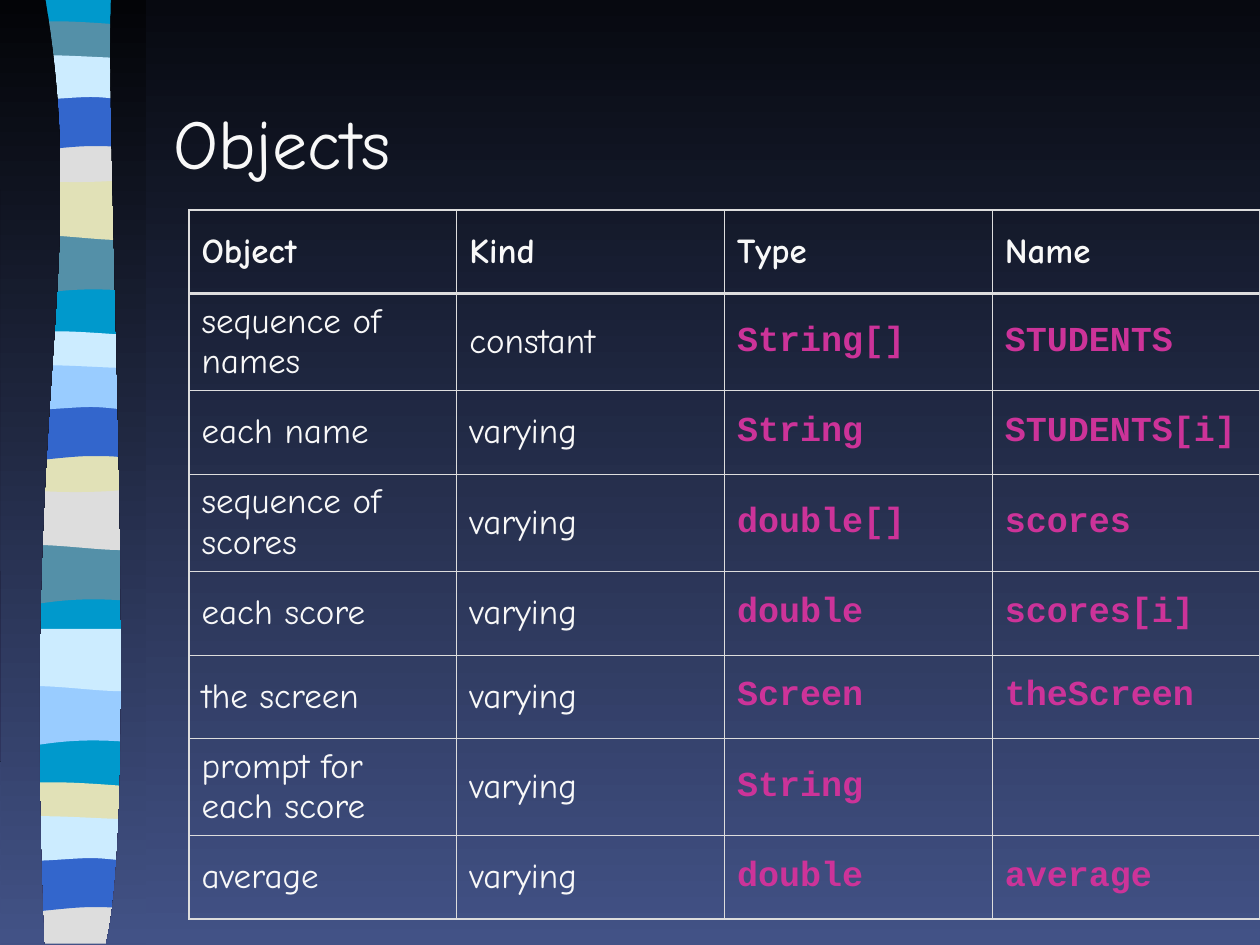
from lxml.etree import SubElement
from pptx import Presentation
from pptx.dml.color import RGBColor
from pptx.enum.text import MSO_ANCHOR as Anchor, PP_ALIGN as Align
from pptx.oxml.ns import qn
from pptx.util import Inches, Pt

WIDTH, HEIGHT = 10, 7.5
TOP, FOOT = -0.01, 7.49
BODY, CODE = "Comic Neue", "Courier New"
WHITE, PINK, GREY, CYAN, NAVY = "F8F8F8", "CC3399", "DDDDDD", "0099CC", "425286"
TEAL, SAND, ICE, SKY, BLUE = "5490A8", "E1E1B7", "CCECFF", "99CCFF", "3366CC"
THIN, OUTER, RULE = 0.45, 1.08, 1.47

NEAR, FAR = (0, 2.46, 3.58), (0, 2.46, 6.04)
BANDS = [
    (1.85, NEAR, (TEAL, TEAL, SKY),
     [(1.08, 0), (1.08, 0.47), (0.33, 0.39, 0.18, 0.55, 0, 0.47), (0, 0)]),
    (1.41, NEAR, (SAND, GREY, ICE),
     [(1.08, 0), (1.08, 0.47), (0.9, 0.55, 0.33, 0.41, 0, 0.47), (0, 0)]),
    (0.21, FAR, (TEAL, ICE, SAND),
     [(1.08, 0), (1.08, 0.24), (0.9, 0.28, 0.18, 0.28, 0, 0.24), (0, 0),
      (0.06, -0.05, 0.23, -0.04, 0.41, -0.04), (0.59, -0.04, 0.94, -0.01, 1.08, 0)]),
    (1.08, FAR, (GREY, SAND),
     [(1.08, 0), (1.08, 0.32), (0.9, 0.38, 0.18, 0.38, 0, 0.32), (0, 0),
      (0.66, 0.05, 0.85, 0, 1.08, 0)]),
    (0.74, FAR, (BLUE, BLUE, BLUE),
     [(1.08, 0), (1.08, 0.47), (0.91, 0.42, 0.84, 0.42, 0.66, 0.42),
      (0.48, 0.42, 0.16, 0.47, 0, 0.47), (0, 0)]),
    (0.46, FAR, (ICE, SKY, ICE),
     [(1.08, 0), (1.08, 0.31), (1.01, 0.36, 0.84, 0.31, 0.66, 0.31),
      (0.48, 0.31, 0.11, 0.36, 0, 0.31), (0, 0),
      (0.15, -0.05, 0.73, 0, 0.91, 0), (1.09, 0, 1.04, 0, 1.08, 0)]),
]
BASE = [(1.08, TOP), (1.08, 7.47), (0, 7.47), (0, TOP)]
LAST = [(1.08, 7.12), (1.08, FOOT), (0, FOOT), (0, 7.12), (0.66, 7.17, 0.85, 7.12, 1.08, 7.12)]
EDGES = [
    [(0.36, TOP), (0.71, 2.16, 0.17, 2.96, 0.35, FOOT), (0.01, FOOT), (0, TOP)],
    [(0.88, TOP), (0.84, 1.25, 1.11, 6.46, 0.84, FOOT), (1.16, FOOT), (1.16, 0)],
]
ROWS = [
    ("Object", "Kind", "Type", "Name"),
    ("sequence of names", "constant", "String[]", "STUDENTS"),
    ("each name", "varying", "String", "STUDENTS[i]"),
    ("sequence of scores", "varying", "double[]", "scores"),
    ("each score", "varying", "double", "scores[i]"),
    ("the screen", "varying", "Screen", "theScreen"),
    ("prompt for each score", "varying", "String", ""),
    ("average", "varying", "double", "average"),
]
TALL = 0.77
SHORT = (5.63 - 3 * TALL) / 5
ROW_HEIGHTS = [TALL if len(row[0]) > 10 else SHORT for row in ROWS]


def rgb(value):
    """Turn a hex string into a colour."""
    return RGBColor.from_string(value)


def write(tf, text, font=BODY, size=20, color=WHITE, bold=False, before=0):
    """Put formatted text in a frame."""
    p = tf.paragraphs[0]
    p.alignment = Align.LEFT
    p.space_before = Pt(before)
    r = p.add_run()
    r.text = text
    r.font.name, r.font.size, r.font.bold = font, Pt(size), bold
    r.font.color.rgb = rgb(color)


def shade(fill, top, bottom):
    """Fill from one colour at the top to another at the bottom."""
    fill.gradient()
    fill.gradient_angle = 270
    for stop, color, at in zip(fill.gradient_stops, (top, bottom), (0, 1)):
        stop.color.rgb, stop.position = rgb(color), at


def bend(sp, outline):
    """Merge each three lines of a curved segment into one cubic curve."""
    lines = iter(list(sp._element.iter(qn("a:lnTo"))))
    for seg in outline[1:]:
        line = next(lines)
        if len(seg) == 6:
            line.tag = qn("a:cubicBezTo")
            for extra in (next(lines), next(lines)):
                line.append(extra[0])
                extra.getparent().remove(extra)


class Deck:
    """Slide on a grid of 10 columns by 7.5 rows."""

    def __init__(self):
        """Start a presentation with one title slide."""
        self.prs = Presentation()
        self.prs.slide_width, self.prs.slide_height = Inches(WIDTH), Inches(HEIGHT)
        self.col = self.prs.slide_width / WIDTH
        self.row = self.prs.slide_height / HEIGHT
        self.s = self.prs.slides.add_slide(self.prs.slide_layouts[5])
        shade(self.s.background.fill, "070910", NAVY)

    def box(self, x, y, w, h):
        """Convert grid units to slide lengths."""
        return [round(v * u) for v, u in zip((x, y, w, h), (self.col, self.row) * 2)]

    def title(self, text, *area):
        """Place and write the title."""
        sp = self.s.shapes.title
        sp.left, sp.top, sp.width, sp.height = self.box(*area)
        sp.text_frame.vertical_anchor = Anchor.MIDDLE
        write(sp.text_frame, text, size=40)

    def outline(self, shapes, outline, x=0, y=0):
        """Add a closed outline of lines and curves and return it."""
        points = [((x + seg[k]) * self.col, (y + seg[k + 1]) * self.row)
                  for seg in outline for k in range(0, len(seg), 2)]
        builder = shapes.build_freeform(*points[0], scale=1.0)
        builder.add_line_segments(points[1:], close=True)
        sp = builder.convert_to_shape()
        bend(sp, outline)
        sp.shadow.inherit = False
        sp.line.fill.background()
        return sp

    def band(self, shapes, outline, color, y=0):
        """Add one plain band of the ribbon."""
        fill = self.outline(shapes, outline, 0.06, y).fill
        fill.solid()
        fill.fore_color.rgb = rgb(color)

    def ribbon(self):
        """Stack the bands and trim them with two curved edges."""
        shapes = self.s.shapes.add_group_shape().shapes
        self.band(shapes, BASE, CYAN)
        self.band(shapes, LAST, GREY)
        for i in range(3):
            for top, shifts, colors, outline in BANDS:
                if i < len(colors):
                    self.band(shapes, outline, colors[i], top + shifts[i])
        for edge in EDGES:
            shade(self.outline(self.s.shapes, edge).fill, "030407", NAVY)

    def borders(self, cell, **widths):
        """Draw the four borders of a cell."""
        props = cell._tc.get_or_add_tcPr()
        for side in "LRTB":
            ln = SubElement(props, qn(f"a:ln{side}"), w=str(Pt(widths[side])))
            fill = SubElement(ln, qn("a:solidFill"))
            SubElement(fill, qn("a:srgbClr"), val=GREY)

    def table(self, rows, heights, x, y, w):
        """Add a ruled table with code in its last two columns."""
        n, m = len(rows), len(rows[0])
        area = self.box(x, y, w, sum(heights))
        table = self.s.shapes.add_table(n, m, *area).table
        table.first_row = table.horz_banding = False
        for column in table.columns:
            column.width = round(area[2] / m)
        for i, (texts, height) in enumerate(zip(rows, heights)):
            table.rows[i].height = round(height * self.row)
            for j, text in enumerate(texts):
                cell = table.cell(i, j)
                self.borders(cell,
                             L=THIN if j else OUTER,
                             R=THIN if j < m - 1 else OUTER,
                             T={0: OUTER, 1: RULE}.get(i, THIN),
                             B={0: RULE, n - 1: OUTER}.get(i, THIN))
                cell.fill.background()
                cell.vertical_anchor = Anchor.MIDDLE
                code = i > 0 and j > 1
                if text:
                    write(cell.text_frame, text, font=CODE if code else BODY,
                          color=PINK if code else WHITE, bold=i == 0 or code, before=5)


def main():
    """Build and save the slide."""
    deck = Deck()
    deck.ribbon()
    deck.title("Objects", 1.28, 0.5, 8.5, 1.25)
    deck.table(ROWS, ROW_HEIGHTS, 1.5, 5 / 3, 8.5)
    deck.prs.save("out.pptx")


if __name__ == "__main__":
    main()
